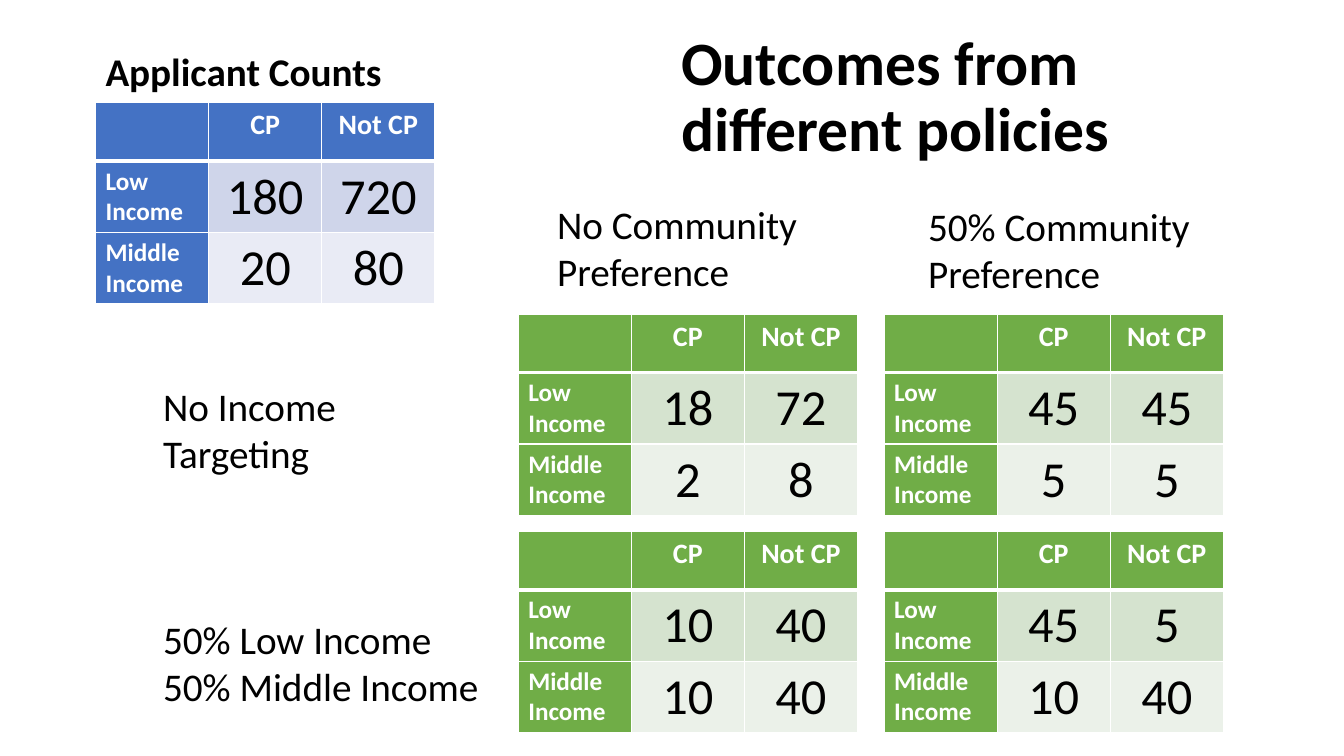
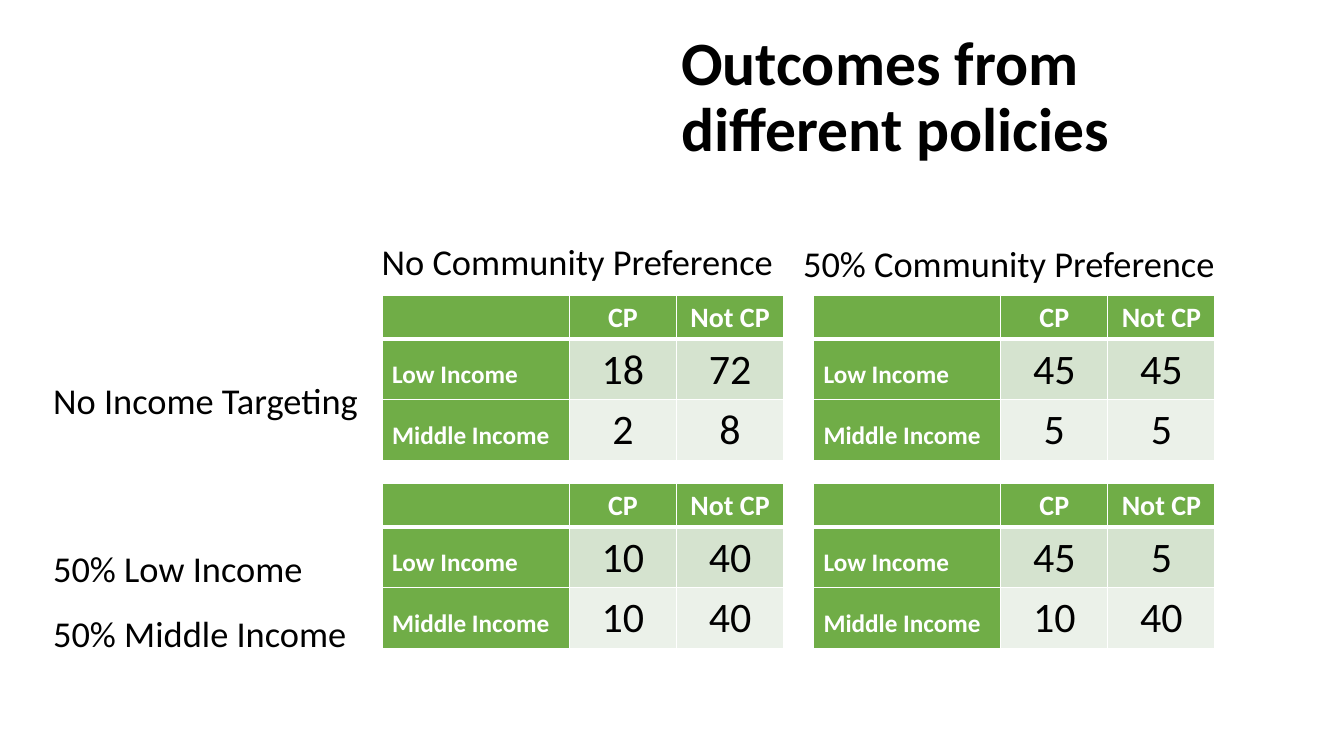
from lxml.etree import SubElement
from pptx import Presentation
from pptx.dml.color import RGBColor
from pptx.enum.text import MSO_ANCHOR, PP_ALIGN
from pptx.oxml.ns import qn
from pptx.util import Cm, Pt

# Shared style: heading fill, then one fill for each data row
FONT = "Calibri"
BLACK, WHITE = "000000", "FFFFFF"
BLUE = ("4472C4", "CFD5EA", "E9EBF5")
GREEN = ("70AD47", "D5E3CF", "EBF1E9")

TITLE = "Outcomes from different policies"
COLUMN_HEADS = ["", "CP", "Not CP"]
ROW_HEADS = ["Low Income", "Middle Income"]
APPLICANTS = [[180, 720], [20, 80]]
# Grid of outcomes: income targeting down, community preference across
OUTCOMES = [
    [[[18, 72], [2, 8]], [[45, 45], [5, 5]]],
    [[[10, 40], [10, 40]], [[45, 5], [10, 40]]],
]


def write_text(frame, text, size=28, color=BLACK, bold=False,
               align=PP_ALIGN.LEFT, spacing=1.0):
    """Fill a text frame, one paragraph for each line of the text."""
    frame.word_wrap = True
    for index, line in enumerate(text.split("\n")):
        para = frame.add_paragraph() if index else frame.paragraphs[0]
        para.alignment = align
        para.line_spacing = spacing
        span = para.add_run()
        span.text = line
        span.font.name = FONT
        span.font.size = Pt(size)
        span.font.bold = bold
        span.font.color.rgb = RGBColor.from_string(color)


def add_count_table(page, left, top, values, palette, widths, heights,
                    number_size, label_spacing):
    """Add a table of counts by income and community preference."""
    table = page.shapes.add_table(
        3, 3, Cm(left), Cm(top), Cm(sum(widths)), Cm(sum(heights))).table
    for column, width in zip(table.columns, widths):
        column.width = Cm(width)
    for row, height in zip(table.rows, heights):
        row.height = Cm(height)

    content = [COLUMN_HEADS] + [
        [head, *counts] for head, counts in zip(ROW_HEADS, values)]
    for row_index, entries in enumerate(content):
        for column_index, entry in enumerate(entries):
            cell = table.cell(row_index, column_index)
            is_head = row_index == 0 or column_index == 0

            # White borders, thicker under the heading row
            properties = cell._tc.get_or_add_tcPr()
            for side in ("lnL", "lnR", "lnT", "lnB"):
                thick = (row_index, side) in ((0, "lnB"), (1, "lnT"))
                line = SubElement(properties, qn("a:" + side),
                                  w=str(Pt(3 if thick else 1)))
                fill = SubElement(line, qn("a:solidFill"))
                SubElement(fill, qn("a:srgbClr"), val=WHITE)

            cell.fill.solid()
            cell.fill.fore_color.rgb = RGBColor.from_string(
                palette[0 if is_head else row_index])
            if entry == "":
                continue
            is_label = column_index == 0
            size = 20 if row_index == 0 else 18 if is_label else number_size
            write_text(cell.text_frame, str(entry), size=size, bold=is_head,
                       color=WHITE if is_head else BLACK,
                       align=PP_ALIGN.LEFT if is_label else PP_ALIGN.CENTER,
                       spacing=label_spacing if is_label else 1.0)


deck = Presentation()
deck.slide_width, deck.slide_height = Cm(33.87), Cm(19.05)

# What differs between the two slides; captions are left, top, width,
# height, text and format
layouts = [
    {
        "lefts": (13.06, 22.28),
        "tops": (7.92, 13.39),
        "table": {"widths": (2.85, 2.85, 2.85), "heights": (1.47, 1.8, 1.8),
                  "number_size": 36, "label_spacing": 1.0},
        "applicants": (2.41, 2.59),
        "captions": [
            (3.86, 9.52, 4.93, 2.64, "No Income Targeting", {}),
            (3.86, 15.39, 8.53, 2.64, "50% Low Income\n50% Middle Income", {}),
            (13.79, 4.93, 7.11, 2.64, "No Community Preference", {}),
            (23.14, 4.98, 8.05, 2.64, "50% Community Preference", {}),
            (2.41, 1.07, 8, 1.4, "Applicant Counts", {"bold": True}),
        ],
    },
    {
        "lefts": (9.63, 20.5),
        "tops": (7.44, 12.18),
        "table": {"widths": (4.72, 2.7, 2.7), "heights": (1.09, 1.53, 1.53),
                  "number_size": 30, "label_spacing": 1.5},
        "applicants": None,
        "captions": [
            (1.09, 9.4, 8.79, 1.37, "No Income Targeting", {"size": 26}),
            (1.09, 13.08, 8.53, 3.43, "50% Low Income\n50% Middle Income",
             {"size": 26, "spacing": 1.5}),
            (9.37, 5.89, 10.64, 1.37, "No Community Preference", {"size": 26}),
            (19.99, 5.94, 11.99, 1.37, "50% Community Preference",
             {"size": 26}),
        ],
    },
]

for layout in layouts:
    page = deck.slides.add_slide(deck.slide_layouts[6])

    # Title
    box = page.shapes.add_textbox(Cm(16.92), Cm(0.64), Cm(13.97), Cm(3.68))
    box.text_frame.vertical_anchor = MSO_ANCHOR.MIDDLE
    write_text(box.text_frame, TITLE, size=44, bold=True, spacing=0.9)

    # Applicant table
    if layout["applicants"]:
        add_count_table(page, *layout["applicants"], APPLICANTS, BLUE,
                        **layout["table"])

    # Outcome tables
    for top, outcome_row in zip(layout["tops"], OUTCOMES):
        for left, values in zip(layout["lefts"], outcome_row):
            add_count_table(page, left, top, values, GREEN, **layout["table"])

    # Captions
    for left, top, width, height, text, style in layout["captions"]:
        box = page.shapes.add_textbox(Cm(left), Cm(top), Cm(width), Cm(height))
        write_text(box.text_frame, text, **style)

deck.save("out.pptx")
